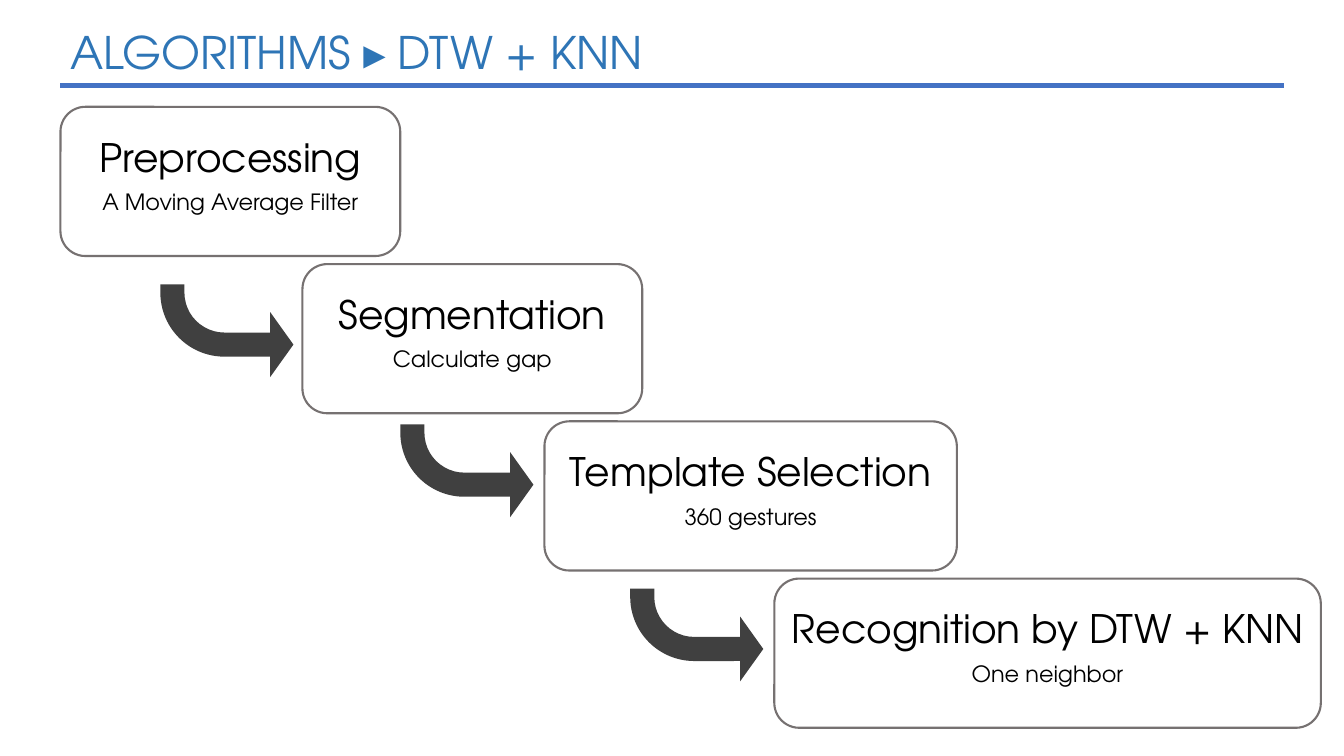
from pptx import Presentation
from pptx.dml.color import RGBColor
from pptx.enum.shapes import MSO_CONNECTOR, MSO_SHAPE
from pptx.enum.text import MSO_ANCHOR, PP_ALIGN
from pptx.util import Inches, Pt
from lxml import etree

ROUND = MSO_SHAPE.ROUNDED_RECTANGLE
BENT = MSO_SHAPE.BENT_ARROW
STRAIGHT = MSO_CONNECTOR.STRAIGHT
LEFT, CENTER = PP_ALIGN.LEFT, PP_ALIGN.CENTER
TOP = MSO_ANCHOR.TOP
NS = "http://schemas.openxmlformats.org/drawingml/2006/main"

STEPS = [
    ("Preprocessing", "A Moving Average Filter", 0.6, 3.37),
    ("Segmentation", "Calculate gap", 3, 3.37),
    ("Template Selection", "360 gestures", 5.4, 4.09),
    ("Recognition by DTW + KNN", "One neighbor", 7.68, 5.42),
]
ARROWS = [(1.59, 2.82), (3.97, 4.21), (6.25, 5.84)]
FIRST, PITCH = 1.06, 1.56


def color(code):
    return RGBColor.from_string(code)


class Deck:
    font = "TeX Gyre Adventor"
    ink = "000000"
    blue = "2E75B6"
    rule = "4472C4"
    edge = "767171"
    dark = "404040"

    def __init__(self, slide):
        self.shapes = slide.shapes

    def text(self, words, x, y, w, h, size=16, tint=ink, align=CENTER, wrap=False):
        box = self.shapes.add_textbox(Inches(x), Inches(y), Inches(w), Inches(h))
        frame = box.text_frame
        frame.word_wrap = wrap
        frame.vertical_anchor = TOP
        para = frame.paragraphs[0]
        para.alignment = align
        run = para.add_run()
        run.text = words
        run.font.name = self.font
        run.font.size = Pt(size)
        run.font.color.rgb = color(tint)

    def line(self, x, y, end):
        line = self.shapes.add_connector(
            STRAIGHT, Inches(x), Inches(y), Inches(end), Inches(y))
        line.line.color.rgb = color(self.rule)
        line.line.width = Pt(4)
        etree.SubElement(line._element.spPr, f"{{{NS}}}effectLst")

    def card(self, title, note, x, y, w):
        card = self.shapes.add_shape(ROUND, Inches(x), Inches(y), Inches(w), Inches(1.48))
        card.shadow.inherit = False
        card.fill.background()
        card.line.color.rgb = color(self.edge)
        card.line.width = Pt(1.5)
        self.text(title, x, y + 0.21, w, 0.57, size=28)
        self.text(note, x, y + 0.76, w, 0.37)

    def arrow(self, x, y):
        arrow = self.shapes.add_shape(BENT, Inches(x), Inches(y), Inches(1.32), Inches(0.92))
        arrow.shadow.inherit = False
        arrow.fill.solid()
        arrow.fill.fore_color.rgb = color(self.dark)
        arrow.line.fill.background()
        for i, value in enumerate((0.26, 0.35, 0.25, 0.69)):
            arrow.adjustments[i] = value
        arrow.rotation = 180
        arrow._element.spPr.xfrm.set("flipH", "1")


def main():
    show = Presentation()
    show.slide_width, show.slide_height = Inches(13.33), Inches(7.5)
    deck = Deck(show.slides.add_slide(show.slide_layouts[6]))
    deck.line(0.6, 0.85, 12.73)
    deck.text("ALGORITHMS ▸ DTW + KNN", 0.6, 0.2, 7.9, 0.64,
              size=32, tint=deck.blue, align=LEFT, wrap=True)
    for i, (title, note, x, w) in enumerate(STEPS):
        deck.card(title, note, x, FIRST + i * PITCH, w)
    for x, y in ARROWS:
        deck.arrow(x, y)
    show.save("out.pptx")


if __name__ == "__main__":
    main()
